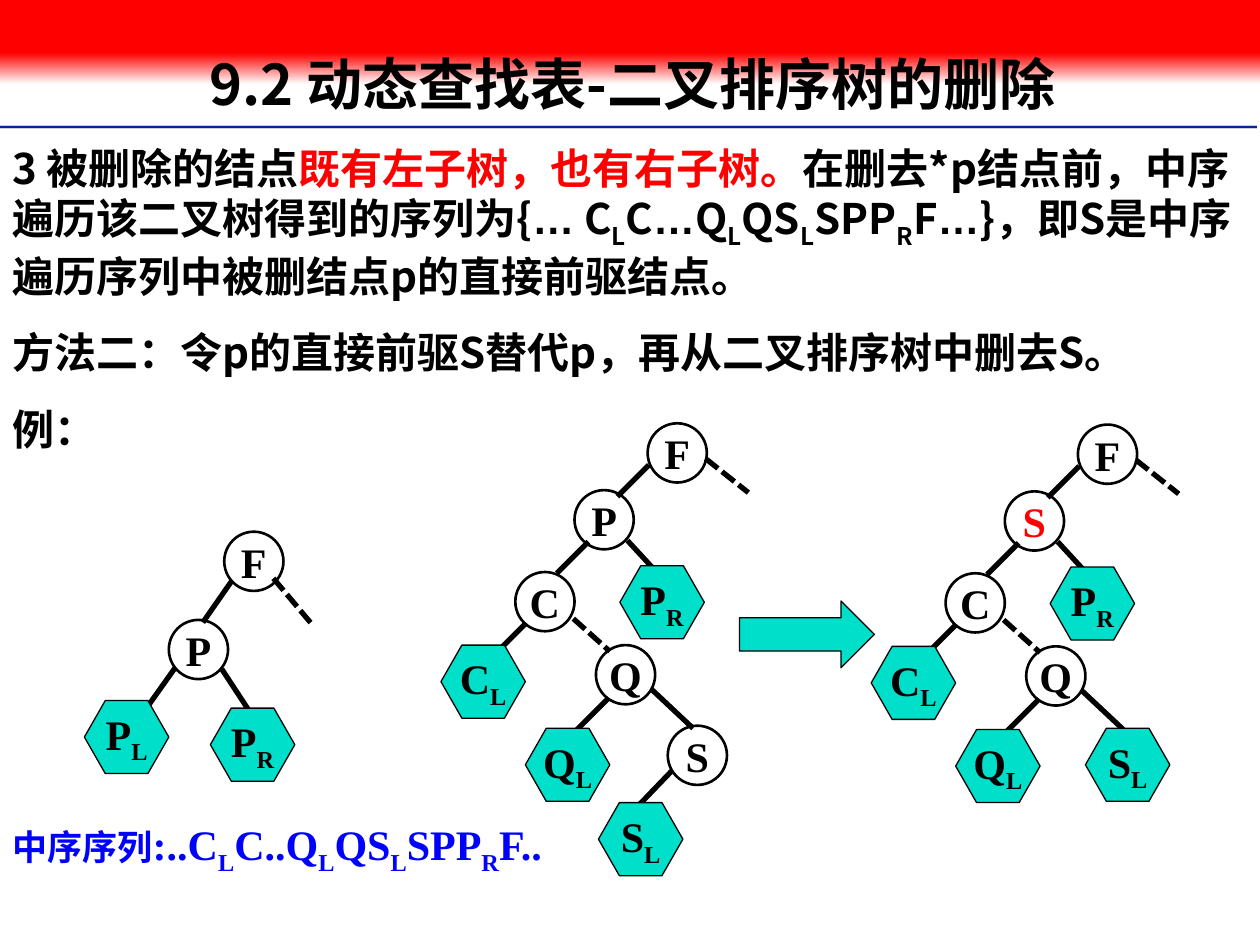
from itertools import groupby

from lxml.etree import SubElement
from pptx import Presentation
from pptx.dml.color import RGBColor
from pptx.enum.dml import MSO_LINE
from pptx.enum.shapes import MSO_CONNECTOR, MSO_SHAPE
from pptx.enum.text import MSO_ANCHOR, MSO_AUTO_SIZE, PP_ALIGN
from pptx.oxml.ns import qn
from pptx.util import Inches, Pt

CJK_FONT, LATIN_FONT = "Noto Sans CJK SC", "Times New Roman"
BLACK, WHITE, RED, BLUE, TEAL = "000000", "FFFFFF", "FF0000", "0000FF", "00DFCA"
NODE_SIZE = 0.47
HEXAGON_WIDTH, HEXAGON_HEIGHT = 0.67, 0.58

# Text parts are (text, colour, size); "_" lowers the character after it.
TITLE = [("9.2 动态查找表-二叉排序树的删除", BLACK, 32)]
BODY = [
    [("3 被删除的结点", BLACK, 24),
     ("既有左子树，也有右子树。", RED, 24),
     ("在删去*p结点前，中序遍历该二叉树得到的序列为{… C_LC…Q_LQS_LSPP_RF…}"
      "，即S是中序遍历序列中被删结点p的直接前驱结点。", BLACK, 24)],
    [("方法二：令p的直接前驱S替代p，再从二叉排序树中删去S。", BLACK, 24)],
    [("例：", BLACK, 24)],
]
SEQUENCE = [("中序序列", BLUE, 20), (":..C_LC..Q_LQS_LSPP_RF..", BLUE, 24)]

RULES = [(1.01, "CECECE", 2), (1.01, "00279F", 1), (1.03, WHITE, 1)]

# Nodes and subtrees: (label, left, top); edges: (x1, y1, x2, y2).
SMALL_TREE = {
    "nodes": [("F", 1.78, 4.22), ("P", 1.34, 4.92)],
    "subtrees": [("P_L", 0.67, 5.56), ("P_R", 1.67, 5.62)],
    "edges": [(1.76, 5.31, 1.97, 5.63), (1.39, 5.3, 1.17, 5.61), (1.84, 4.61, 1.61, 4.94)],
    "dotted": [(2.17, 4.59, 2.48, 4.96)],
}
COMMON_TREE = {
    "nodes": [("F", 5.14, 3.36), ("C", 4.09, 4.54), ("Q", 4.73, 5.12)],
    "subtrees": [("P_R", 4.92, 4.49), ("C_L", 3.5, 5.12), ("Q_L", 4.17, 5.78)],
    "edges": [(4.98, 4.29, 5.21, 4.54), (4.67, 4.3, 4.42, 4.55), (5.15, 3.69, 4.9, 3.94),
              (4.17, 4.95, 3.92, 5.2), (5.17, 5.47, 5.5, 5.78), (4.83, 5.54, 4.58, 5.79)],
    "dotted": [(5.6, 3.64, 5.94, 3.91), (4.55, 4.91, 4.84, 5.17)],
}
BEFORE_ONLY = {
    "nodes": [("P", 4.56, 3.89), ("S", 5.3, 5.76)],
    "subtrees": [("S_L", 4.75, 6.37)],
    "edges": [(5.33, 6.12, 5.08, 6.38)],
}
AFTER_ONLY = {"subtrees": [("S_L", 5.2, 5.77)]}
REPLACED_NODE = ("S", 4.56, 3.89)
AFTER_OFFSET = (3.415, 0.01)


def rgb(colour):
    return RGBColor.from_string(colour)


def split_runs(text):
    """Yield (text, is_subscript, is_ellipsis) for each run of marked-up text."""
    for index, piece in enumerate(text.split("_")):
        if index:
            yield piece[0], True, False
            piece = piece[1:]
        for is_ellipsis, characters in groupby(piece, lambda character: character == "…"):
            yield "".join(characters), False, is_ellipsis


def write(paragraph, parts, font_name):
    paragraph.font.name = font_name
    paragraph.font.bold = True
    for text, colour, size in parts:
        for run_text, is_subscript, is_ellipsis in split_runs(text):
            run = paragraph.add_run()
            run.text = run_text
            run.font.size = Pt(size)
            run.font.bold = True
            run.font.color.rgb = rgb(colour)
            run.font.name = "Arial" if is_ellipsis else font_name
            properties = run._r.get_or_add_rPr()
            SubElement(properties, qn("a:ea"), typeface=CJK_FONT)
            if is_subscript:
                properties.set("baseline", "-25000")


def place(shape, left, top, width, height):
    shape.left, shape.top = Inches(left), Inches(top)
    shape.width, shape.height = Inches(width), Inches(height)


def bring_to_front(shape):
    shape.element.getparent().append(shape.element)


def add_line(slide, x1, y1, x2, y2, colour=BLACK, width=3, dotted=False):
    line = slide.shapes.add_connector(
        MSO_CONNECTOR.STRAIGHT, Inches(x1), Inches(y1), Inches(x2), Inches(y2))
    line.line.color.rgb = rgb(colour)
    line.line.width = Pt(width)
    if dotted:
        line.line.dash_style = MSO_LINE.SQUARE_DOT
    SubElement(line.element.spPr, qn("a:effectLst"))


def add_shape(slide, kind, left, top, width, height, fill=None, line_width=None):
    shape = slide.shapes.add_shape(
        kind, Inches(left), Inches(top), Inches(width), Inches(height))
    shape.shadow.inherit = False
    if fill:
        shape.fill.solid()
        shape.fill.fore_color.rgb = rgb(fill)
    else:
        shape.fill.background()
    if line_width:
        shape.line.color.rgb = rgb(BLACK)
        shape.line.width = Pt(line_width)
    else:
        shape.line.fill.background()
    return shape


def add_label(shape, label, colour=BLACK):
    frame = shape.text_frame
    frame.word_wrap = False
    frame.vertical_anchor = MSO_ANCHOR.MIDDLE
    paragraph = frame.paragraphs[0]
    paragraph.alignment = PP_ALIGN.CENTER
    write(paragraph, [(label, colour, 24)], LATIN_FONT)


def add_node(slide, label, left, top, colour=BLACK):
    node = add_shape(slide, MSO_SHAPE.OVAL, left, top, NODE_SIZE, NODE_SIZE, line_width=1.5)
    add_label(node, label, colour)


def add_tree(slide, tree, offset=(0, 0)):
    dx, dy = offset
    for key in ("edges", "dotted"):
        for x1, y1, x2, y2 in tree.get(key, []):
            add_line(slide, x1 + dx, y1 + dy, x2 + dx, y2 + dy, dotted=key == "dotted")
    for label, left, top in tree.get("nodes", []):
        add_node(slide, label, left + dx, top + dy)
    for label, left, top in tree.get("subtrees", []):
        hexagon = add_shape(slide, MSO_SHAPE.HEXAGON, left + dx, top + dy,
                            HEXAGON_WIDTH, HEXAGON_HEIGHT, TEAL, 0.75)
        hexagon.adjustments[0] = 0.286
        add_label(hexagon, label)


def add_banner(slide):
    for y, colour, width in RULES:
        add_line(slide, 0, y, 9.98, y, colour, width)
    fade = add_shape(slide, MSO_SHAPE.RECTANGLE, 0, 0.42, 10, 0.25)
    fade.fill.gradient()
    fade.fill.gradient_angle = 270
    for stop, colour in zip(fade.fill.gradient_stops, (RED, WHITE)):
        stop.color.rgb = rgb(colour)
    add_shape(slide, MSO_SHAPE.RECTANGLE, 0, 0, 10, 0.42, RED)


def fill_placeholders(slide):
    title, body = slide.placeholders
    place(title, 1.56, 0.32, 8.19, 0.74)
    place(body, 0, 1.08, 9.92, 2.57)
    for placeholder, anchor in ((title, MSO_ANCHOR.MIDDLE), (body, MSO_ANCHOR.TOP)):
        bring_to_front(placeholder)
        placeholder.text_frame.auto_size = MSO_AUTO_SIZE.NONE
        placeholder.text_frame.vertical_anchor = anchor

    heading = title.text_frame.paragraphs[0]
    heading.alignment = PP_ALIGN.LEFT
    heading.line_spacing = 0.9
    write(heading, TITLE, CJK_FONT)

    frame = body.text_frame
    for index, parts in enumerate(BODY):
        paragraph = frame.add_paragraph() if index else frame.paragraphs[0]
        paragraph.space_before = Pt(15 if index else 0)
        properties = paragraph._p.get_or_add_pPr()
        properties.set("marL", "0")
        properties.set("indent", "0")
        SubElement(properties, qn("a:buNone"))
        write(paragraph, parts, CJK_FONT)


def main():
    presentation = Presentation()
    presentation.slide_width, presentation.slide_height = Inches(10), Inches(7.5)
    slide = presentation.slides.add_slide(presentation.slide_layouts[1])
    add_banner(slide)
    fill_placeholders(slide)

    arrow = add_shape(slide, MSO_SHAPE.RIGHT_ARROW, 5.87, 4.77, 1.07, 0.53, TEAL, 0.75)
    arrow.adjustments[1] = 0.5
    sequence = slide.shapes.add_textbox(Inches(0), Inches(6.45), Inches(4.69), Inches(0.56))
    sequence.text_frame.word_wrap = True
    write(sequence.text_frame.paragraphs[0], SEQUENCE, LATIN_FONT)

    add_tree(slide, SMALL_TREE)
    add_tree(slide, COMMON_TREE)
    add_tree(slide, BEFORE_ONLY)
    add_tree(slide, COMMON_TREE, AFTER_OFFSET)
    add_tree(slide, AFTER_ONLY, AFTER_OFFSET)
    label, left, top = REPLACED_NODE
    add_node(slide, label, left + AFTER_OFFSET[0], top + AFTER_OFFSET[1], RED)
    presentation.save("out.pptx")


if __name__ == "__main__":
    main()
